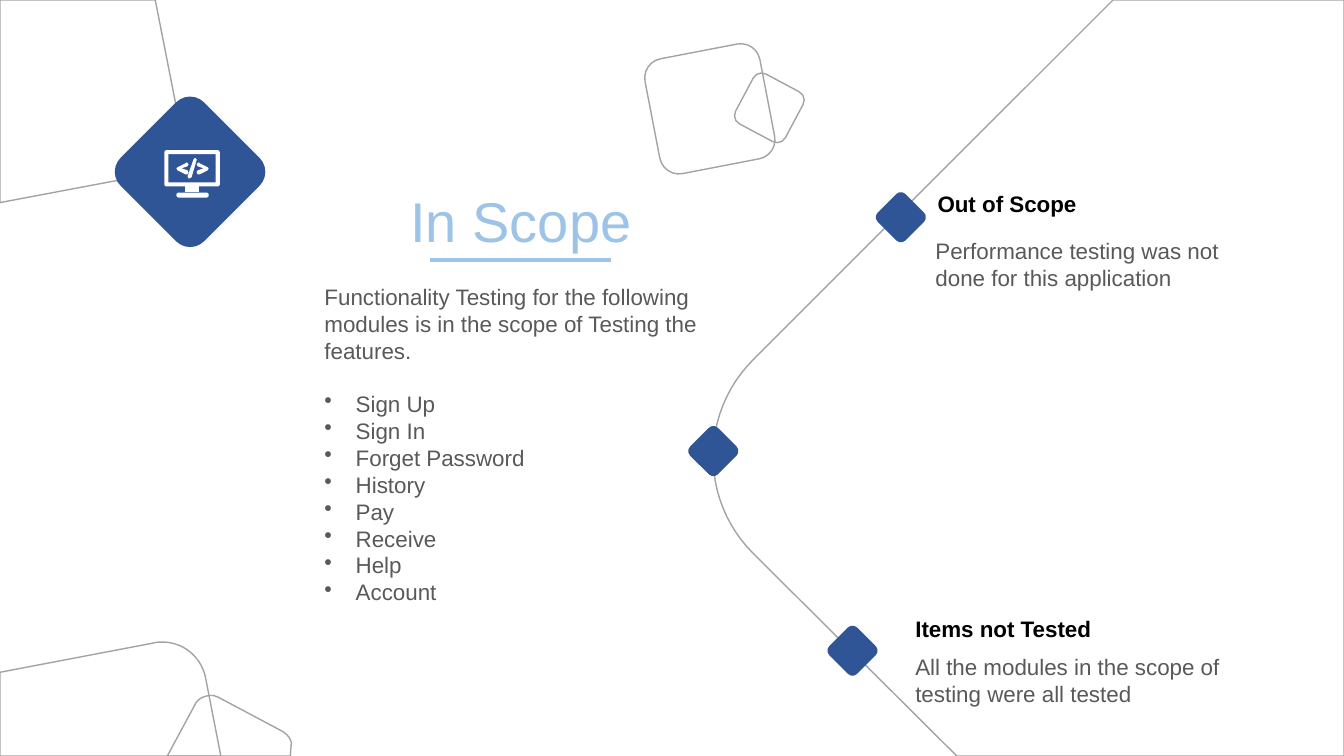
from lxml import etree
from pptx import Presentation
from pptx.dml.color import RGBColor
from pptx.enum.shapes import MSO_CONNECTOR, MSO_SHAPE
from pptx.enum.text import MSO_ANCHOR, PP_ALIGN
from pptx.oxml.ns import qn
from pptx.util import Inches, Pt

ROUNDED = MSO_SHAPE.ROUNDED_RECTANGLE
STRAIGHT = MSO_CONNECTOR.STRAIGHT
TOP, BOTTOM = MSO_ANCHOR.TOP, MSO_ANCHOR.BOTTOM
LEFT, RIGHT = PP_ALIGN.LEFT, PP_ALIGN.RIGHT

BLUE = RGBColor(0x2F, 0x55, 0x97)
SKY = RGBColor(0x9D, 0xC3, 0xE6)
GRAY = RGBColor(0xA3, 0xA3, 0xA3)
BODY = RGBColor(0x59, 0x59, 0x59)
BLACK = RGBColor(0, 0, 0)
WHITE = RGBColor(0xFF, 0xFF, 0xFF)


def curve(start, control_1, control_2, end, steps=24):
    points = []
    for step in range(steps + 1):
        t = step / steps
        weights = ((1 - t) ** 3, 3 * t * (1 - t) ** 2, 3 * t * t * (1 - t), t ** 3)
        corners = (start, control_1, control_2, end)
        points.append(tuple(sum(w * c[axis] for w, c in zip(weights, corners)) for axis in (0, 1)))
    return points


def chamfered(left, top, right, bottom, cut):
    near = cut * 0.3
    return [
        (left + cut, top), (right - cut, top), (right - near, top + near), (right, top + cut),
        (right, bottom - cut), (right - near, bottom - near), (right - cut, bottom),
        (left + cut, bottom), (left + near, bottom - near), (left, bottom - cut),
        (left, top + cut), (left + near, top + near),
    ]


class SlideBuilder:
    font_name = "Arial"

    def __init__(self, slide):
        self.slide = slide
        self.shapes = slide.shapes

    def paint(self, shape, fill, line):
        shape.shadow.inherit = False
        if fill is None:
            shape.fill.background()
        else:
            shape.fill.solid()
            shape.fill.fore_color.rgb = fill
        if line is None:
            shape.line.fill.background()
        else:
            shape.line.color.rgb = line
            shape.line.width = Pt(1)

    def rounded_square(self, left, top, size, rotation, fill=None, line=None):
        shape = self.shapes.add_shape(ROUNDED, Inches(left), Inches(top), Inches(size), Inches(size))
        shape.rotation = rotation
        self.paint(shape, fill, line)

    def outline(self, *contours, fill=None, line=None):
        builder = None
        for contour in contours:
            points = [(Inches(x), Inches(y)) for x, y in contour]
            if builder is None:
                builder = self.shapes.build_freeform(*points[0])
            else:
                builder.move_to(*points[0])
            builder.add_line_segments(points[1:], close=True)
        self.paint(builder.convert_to_shape(), fill, line)

    def rule(self, left, right, y, color, width):
        connector = self.shapes.add_connector(STRAIGHT, Inches(left), Inches(y), Inches(right), Inches(y))
        connector.line.color.rgb = color
        connector.line.width = Pt(width)
        etree.SubElement(connector._element.spPr, qn("a:effectLst"))

    def text(self, left, top, width, height, lines, size=16, color=BODY, bold=False,
             align=LEFT, anchor=TOP):
        box = self.shapes.add_textbox(Inches(left), Inches(top), Inches(width), Inches(height))
        frame = box.text_frame
        frame.word_wrap = True
        frame.vertical_anchor = anchor
        frame.text = "\n".join(lines)
        for paragraph in frame.paragraphs:
            paragraph.alignment = align
            paragraph.font.name = self.font_name
            paragraph.font.size = Pt(size)
            paragraph.font.bold = bold
            paragraph.font.color.rgb = color
        return frame.paragraphs

    def bullet(self, paragraph):
        properties = paragraph._p.get_or_add_pPr()
        indent = Inches(0.31)
        properties.set("marL", str(indent))
        properties.set("indent", str(-indent))
        mark = etree.Element(qn("a:buChar"), char="•")
        defaults = properties.find(qn("a:defRPr"))
        defaults.addprevious(mark)


presentation = Presentation()
presentation.slide_width = Inches(13.33)
presentation.slide_height = Inches(7.5)
builder = SlideBuilder(presentation.slides.add_slide(presentation.slide_layouts[6]))

road = [(11.04, 0), (13.33, 0), (13.33, 7.5), (9.49, 7.5)]
road += curve((7.47, 5.49), (6.94, 4.96), (6.94, 4.1), (7.47, 3.57))
top_corner = [(0, 0), (1.54, 0)]
top_corner += curve((1.78, 1.22), (1.82, 1.46), (1.67, 1.69), (1.43, 1.74)) + [(0, 2.01)]
bottom_corner = curve((1.61, 6.37), (1.82, 6.37), (2, 6.52), (2.04, 6.73))
bottom_corner += [(2.19, 7.5), (0, 7.5), (0, 6.67)]
bottom_corner += curve((1.52, 6.38), (1.55, 6.37), (1.58, 6.37), (1.61, 6.37))
small_corner = curve((2.1, 6.9), (2.12, 6.9), (2.15, 6.91), (2.17, 6.92))
small_corner += curve((2.81, 7.26), (2.85, 7.29), (2.88, 7.32), (2.89, 7.37))
small_corner += [(2.88, 7.5), (1.66, 7.5)]
small_corner += curve((1.93, 7), (1.96, 6.93), (2.03, 6.9), (2.1, 6.9))

for contour in (road, top_corner):
    builder.outline(contour, line=GRAY)
builder.rounded_square(1.3, 1.12, 1.17, 45, fill=BLUE)
for contour in (bottom_corner, small_corner):
    builder.outline(contour, line=GRAY)
builder.rounded_square(6.46, 0.5, 1.16, 79.1, line=GRAY)
builder.rounded_square(7.35, 0.79, 0.56, 118.1, line=GRAY)
for left, top in ((8.74, 1.96), (6.88, 4.28), (8.26, 6.26)):
    builder.rounded_square(left, top, 0.39, 45, fill=BLUE)

screen = [(1.67, 1.53), (1.67, 1.81), (2.14, 1.81), (2.14, 1.53)]
stand = [(1.84, 1.85), (1.97, 1.85), (1.97, 1.91), (1.84, 1.91)]
builder.outline(chamfered(1.63, 1.49, 2.18, 1.85, 0.02), screen, fill=WHITE)
builder.outline(stand, fill=WHITE)
builder.outline(chamfered(1.75, 1.91, 2.07, 1.96, 0.02), fill=WHITE)
left_bracket = [
    (1.85, 1.61), (1.87, 1.63), (1.86, 1.65), (1.8, 1.67), (1.86, 1.69), (1.87, 1.71),
    (1.86, 1.73), (1.84, 1.73), (1.76, 1.69), (1.75, 1.67), (1.76, 1.66), (1.84, 1.62),
]
right_bracket = [(3.82 - x, y) for x, y in left_bracket]
slash = [
    (1.93, 1.57), (1.94, 1.57), (1.95, 1.58), (1.95, 1.59),
    (1.9, 1.76), (1.88, 1.77), (1.87, 1.77), (1.86, 1.75), (1.92, 1.58),
]
for contour in (left_bracket, slash, right_bracket):
    builder.outline(contour, fill=WHITE)

title = builder.text(1.86, 1.88, 4.5, 1.05, ["In Scope"], size=40, color=SKY, align=RIGHT)[0]
title.line_spacing = 0.9
title.space_before = Pt(10)
builder.rule(4.26, 6.06, 2.58, SKY, 2.25)

modules = ["Sign Up", "Sign In", "Forget Password", "History", "Pay", "Receive", "Help", "Account"]
introduction = "Functionality Testing for the following modules is in the scope of Testing the features."
scope = builder.text(3.12, 2.76, 4.47, 0.47, [introduction] + modules)
scope[1].space_before = Pt(19)
for paragraph in scope[1:]:
    builder.bullet(paragraph)

notes = (
    (9.2, 1.73, "Out of Scope", 9.18, 2.3, "Performance testing was not done for this application"),
    (8.98, 5.95, "Items not Tested", 8.98, 6.43, "All the modules in the scope of testing were all tested"),
)
for heading_left, heading_top, heading, left, top, detail in notes:
    builder.text(heading_left, heading_top, 2.42, 0.47, [heading], color=BLACK, bold=True, anchor=BOTTOM)
    builder.text(left, top, 3.3, 0.47, [detail])

presentation.save("out.pptx")
